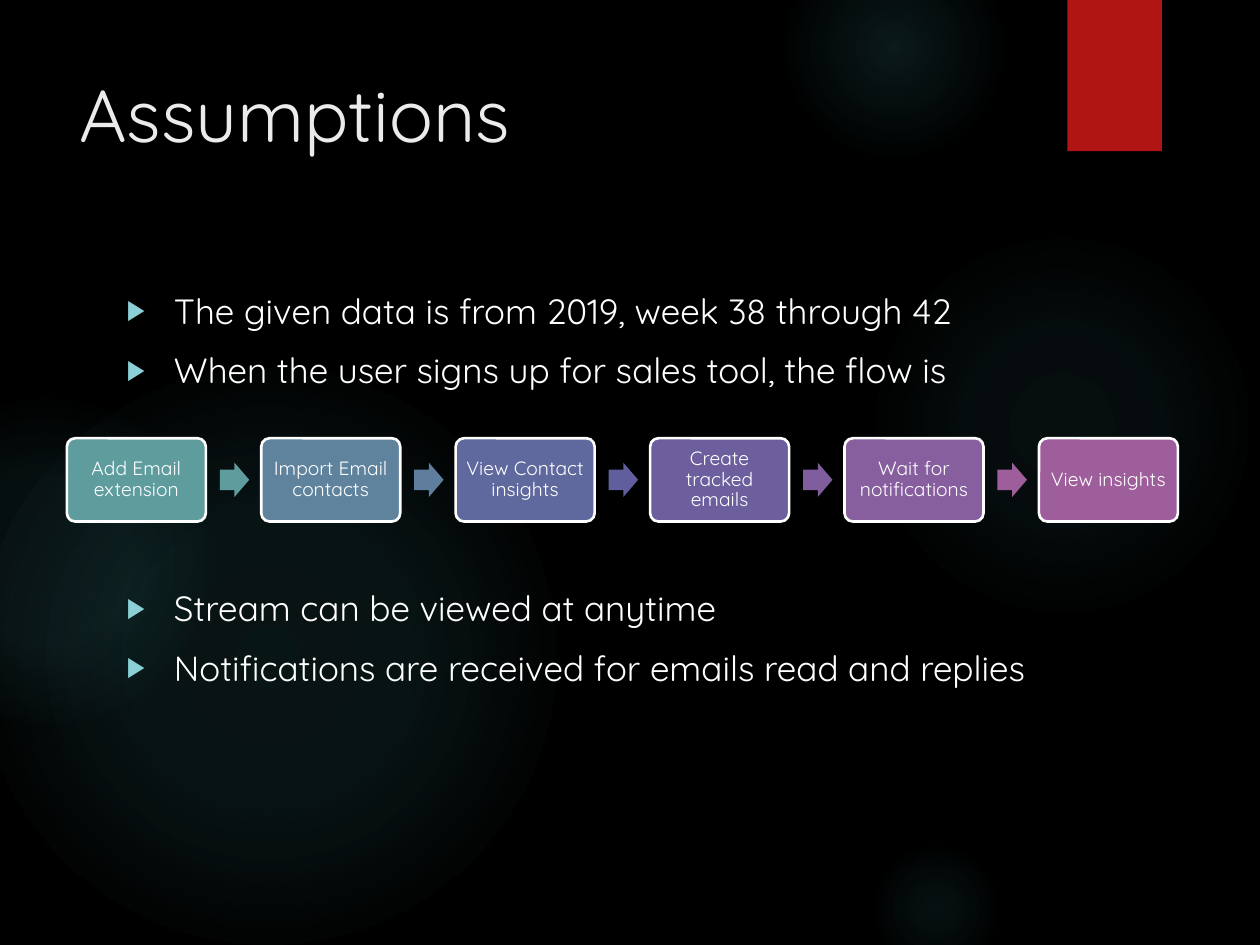
from pptx import Presentation
from pptx.dml.color import RGBColor
from pptx.enum.shapes import MSO_SHAPE as Kind
from pptx.enum.text import MSO_ANCHOR as Anchor, PP_ALIGN as Align
from pptx.oxml import parse_xml
from pptx.oxml.ns import nsdecls
from pptx.util import Pt


def paint(part, tint):
    part.solid()
    part.fore_color.rgb = RGBColor.from_string(tint)


def write(para, text, size, tint):
    run = para.add_run()
    run.text = text
    run.font.name = "Quicksand"
    run.font.size = Pt(size)
    paint(run.font.fill, tint)


deck = Presentation()
deck.slide_width, deck.slide_height = Pt(720), Pt(540)
slide = deck.slides.add_slide(deck.slide_layouts[6])
paint(slide.background.fill, "000000")
shapes = slide.shapes

# Soft glows: left, top, size, then (stop, opacity) in percent
glows = [
    (496, 132, 222, [(0, 7), (36, 6), (69, 0)]),
    (448, -36, 126, [(0, 14), (36, 7), (73, 0)]),
    (496, 480, 78, [(0, 9), (36, 5), (66, 0)]),
    (-12, 210, 330, [(0, 11), (36, 10), (75, 0)]),
    (-66, 228, 186, [(0, 8), (36, 8), (72, 0)]),
]
for left, top, size, stops in glows:
    glow = shapes.add_shape(Kind.OVAL, Pt(left), Pt(top), Pt(size), Pt(size))
    glow.shadow.inherit = False
    glow.line.fill.background()
    marks = "".join(
        f'<a:gs pos="{pos * 1000}"><a:srgbClr val="50B9C1">'
        f'<a:alpha val="{alpha * 1000}"/></a:srgbClr></a:gs>'
        for pos, alpha in stops)
    fade = parse_xml(
        f'<a:gradFill {nsdecls("a")}><a:gsLst>{marks}</a:gsLst>'
        '<a:path path="circle"><a:fillToRect l="50000" t="50000" '
        'r="50000" b="50000"/></a:path></a:gradFill>')
    glow._element.spPr.find(".//{*}prstGeom").addnext(fade)

# Red tab
tab = shapes.add_shape(Kind.RECTANGLE, Pt(610), 0, Pt(54), Pt(86.4))
tab.shadow.inherit = False
tab.line.fill.background()
paint(tab.fill, "B01513")

# Title
title = shapes.add_textbox(Pt(38.2), Pt(36), Pt(556), Pt(110)).text_frame
title.word_wrap = True
write(title.paragraphs[0], "Assumptions", 42, "EBEBEB")

# Bullets above and below the flow
blocks = [
    (161.8, ["The given data is from 2019, week 38 through 42",
             "When the user signs up for sales tool, the flow is"]),
    (331.8, ["Stream can be viewed at anytime",
             "Notifications are received for emails read and replies"]),
]
for top, notes in blocks:
    body = shapes.add_textbox(Pt(65.3), Pt(top), Pt(529), Pt(68)).text_frame
    body.word_wrap = True
    for i, text in enumerate(notes):
        para = body.add_paragraph() if i else body.paragraphs[0]
        para.space_before = Pt(10 if i else 0)
        write(para, text, 20, "FFFFFF")
        props = para._p.get_or_add_pPr()
        props.set("marL", str(Pt(27)))
        props.set("indent", str(-Pt(27)))
        for mark in ('<a:buClr {}><a:srgbClr val="8AD0D6"/></a:buClr>',
                     '<a:buSzPct {} val="80000"/>',
                     '<a:buFont {} typeface="Arial"/>',
                     '<a:buChar {} char="▶"/>'):
            props.append(parse_xml(mark.format(nsdecls("a"))))

# Flow: label, box colour, colour of the arrow that follows
steps = [
    ("Add Email extension", "5F9C9D", "5F9C9D"),
    ("Import Email contacts", "5F839D", "5F7D9D"),
    ("View Contact insights", "5F699D", "605E9D"),
    ("Create tracked emails", "6D5E9E", "805E9E"),
    ("Wait for notifications", "875E9E", "9E5E9B"),
    ("View insights", "9E5E9B", None),
]
for i, (text, tint, next_tint) in enumerate(steps):
    left = 38.2 + 111.1 * i
    box = shapes.add_shape(Kind.ROUNDED_RECTANGLE, Pt(left), Pt(250.4),
                           Pt(79.4), Pt(47.6))
    box.adjustments[0] = 0.1
    box.shadow.inherit = False
    paint(box.fill, tint)
    paint(box.line.fill, "FFFFFF")
    box.line.width = Pt(1.5)
    frame = box.text_frame
    frame.word_wrap = True
    frame.vertical_anchor = Anchor.MIDDLE
    frame.margin_left = frame.margin_right = Pt(3.6)
    frame.margin_top = frame.margin_bottom = Pt(3.6)
    para = frame.paragraphs[0]
    para.alignment = Align.CENTER
    para.line_spacing = 0.9
    write(para, text, 11, "FFFFFF")

    if next_tint:
        arrow = shapes.add_shape(Kind.RIGHT_ARROW, Pt(left + 87.4),
                                 Pt(264.4), Pt(16.8), Pt(19.6))
        arrow.adjustments[0] = 0.6
        arrow.adjustments[1] = 0.5
        arrow.shadow.inherit = False
        arrow.line.fill.background()
        paint(arrow.fill, next_tint)

deck.save("out.pptx")
